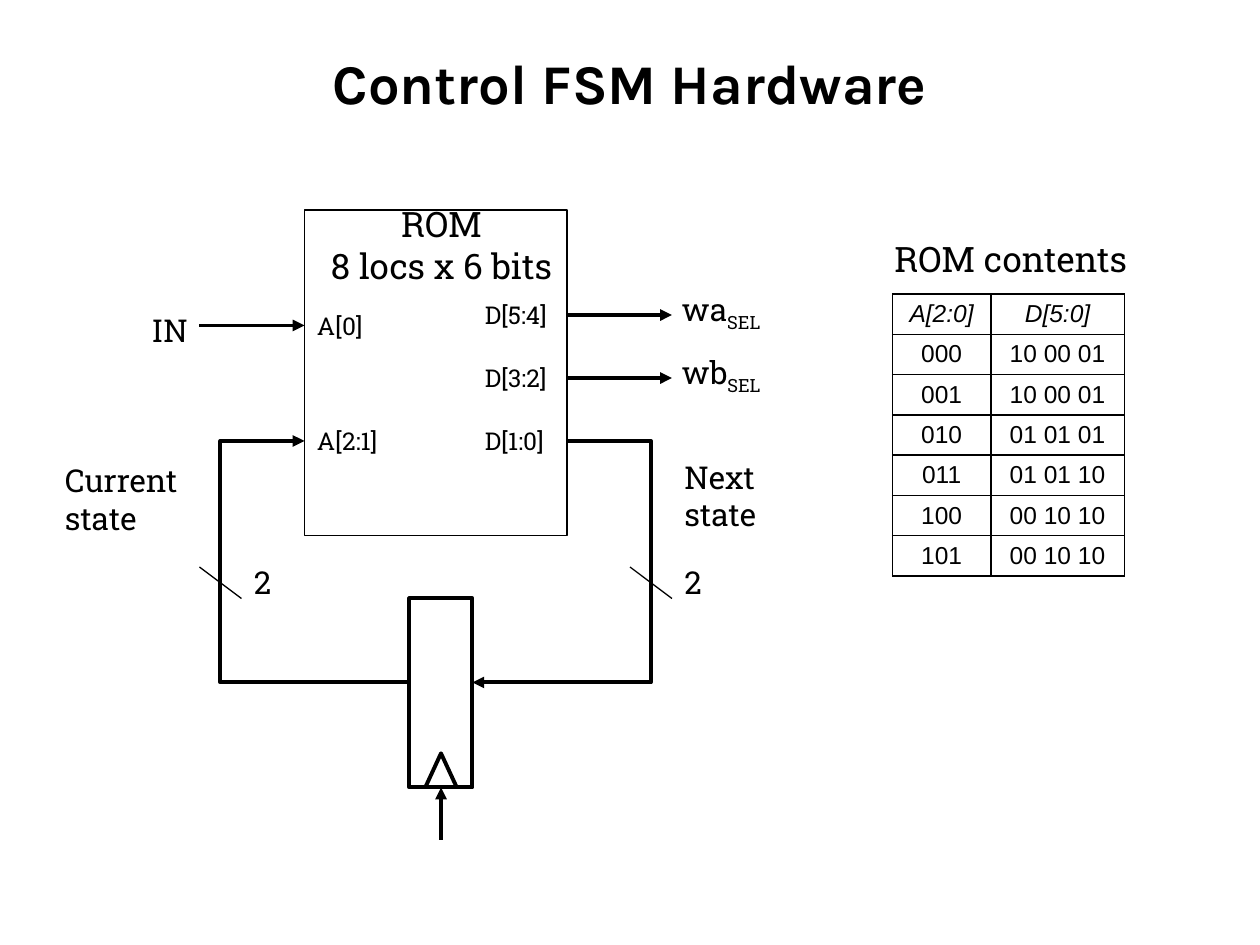
from lxml import etree
from pptx import Presentation
from pptx.dml.color import RGBColor
from pptx.enum.shapes import MSO_CONNECTOR, MSO_SHAPE
from pptx.enum.text import MSO_ANCHOR, MSO_AUTO_SIZE, PP_ALIGN
from pptx.oxml.ns import qn
from pptx.util import Emu, Inches, Pt

LEFT, MID, RIGHT = PP_ALIGN.LEFT, PP_ALIGN.CENTER, PP_ALIGN.RIGHT
RECT = MSO_SHAPE.RECTANGLE
STRAIGHT = MSO_CONNECTOR.STRAIGHT
BLACK, WHITE = "000000", "FFFFFF"
SLAB = "Roboto Slab"
THIN, THICK = 0.75, 2.25
BREAK = "\n"
CELLS = 12  # grid cells to the inch

ROM = [
    ("A[2:0]", "D[5:0]"),
    ("000", "10 00 01"),
    ("001", "10 00 01"),
    ("010", "01 01 01"),
    ("011", "01 01 10"),
    ("100", "00 10 10"),
    ("101", "00 10 10"),
]


def grid(count):
    return Inches(count / CELLS)


def color(code):
    return RGBColor.from_string(code)


def add_run(para, text, size, face, bold=False, italic=False, sub=False):
    run = para.add_run()
    run.text = text
    font = run.font
    font.size, font.name = Pt(size), face
    font.bold, font.italic = bold, italic
    font.color.rgb = color(BLACK)
    if sub:
        run._r.get_or_add_rPr().set("baseline", "-25000")


def add_label(shapes, col, row, width, paras, size=18, align=LEFT):
    """Place paragraphs, each a list of runs; every run after the first is
    a subscript unless it follows a line break."""
    lines = len(paras) + sum(runs.count(BREAK) for runs in paras)
    height = Inches(0.1 + lines * size * 1.2 / 72)
    box = shapes.add_textbox(grid(col), grid(row), Inches(width), height)
    frame = box.text_frame
    frame.word_wrap = False
    frame.auto_size = MSO_AUTO_SIZE.SHAPE_TO_FIT_TEXT
    for i, runs in enumerate(paras):
        para = frame.add_paragraph() if i else frame.paragraphs[0]
        para.alignment = align
        for j, text in enumerate(runs):
            if text == BREAK:
                para.add_line_break()
            else:
                sub = j > 0 and runs[j - 1] != BREAK
                add_run(para, text, size, SLAB, sub=sub)


def add_title(slide, deck, text):
    wide, high = deck.slide_width, deck.slide_height
    box = slide.shapes.add_textbox(
        int(wide * 0.05), int(high * 0.04), int(wide * 0.9), int(high * 0.093))
    frame = box.text_frame
    frame.word_wrap = True
    frame.vertical_anchor = MSO_ANCHOR.MIDDLE
    para = frame.paragraphs[0]
    para.alignment = MID
    add_run(para, text, 32, "Karla", bold=True)


def set_line(shape, weight, arrow=False):
    shape.line.color.rgb = color(BLACK)
    shape.line.width = Pt(weight)
    if arrow:
        ln = shape.line._get_or_add_ln()
        etree.SubElement(ln, qn("a:tailEnd"), type="triangle")


def add_box(shapes, col, row, cols, rows, weight):
    box = shapes.add_shape(RECT, grid(col), grid(row), grid(cols), grid(rows))
    box.shadow.inherit = False
    box.fill.background()
    set_line(box, weight)


def add_wire(shapes, start, end, weight=THICK, arrow=True):
    wire = shapes.add_connector(STRAIGHT, *map(grid, start + end))
    set_line(wire, weight, arrow)
    etree.SubElement(wire._element.spPr, qn("a:effectLst"))


def add_path(shapes, points, arrow=True):
    first, *rest = [(grid(x), grid(y)) for x, y in points]
    pen = shapes.build_freeform(*first, scale=1.0)
    pen.add_line_segments(rest, close=False)
    path = pen.convert_to_shape()
    path.shadow.inherit = False
    path.fill.background()
    set_line(path, THICK, arrow)


def add_edges(cell):
    props = cell._tc.get_or_add_tcPr()
    for side in ("lnL", "lnR", "lnT", "lnB"):
        edge = etree.SubElement(props, qn("a:" + side), w=str(Pt(1)))
        fill = etree.SubElement(edge, qn("a:solidFill"))
        etree.SubElement(fill, qn("a:srgbClr"), val=BLACK)


def add_grid(shapes, col, row, widths, height, data):
    """Add the ROM table, its head row in italics."""
    total = Inches(sum(widths))
    frame = shapes.add_table(len(data), len(widths), grid(col), grid(row),
                             total, Inches(height * len(data)))
    table = frame.table
    for column, width in zip(table.columns, widths):
        column.width = Inches(width)
    for i, values in enumerate(data):
        table.rows[i].height = Inches(height)
        for j, text in enumerate(values):
            cell = table.cell(i, j)
            add_edges(cell)
            cell.fill.solid()
            cell.fill.fore_color.rgb = color(WHITE)
            cell.margin_left = cell.margin_right = Emu(0)
            cell.margin_top = cell.margin_bottom = Inches(0.04)
            cell.vertical_anchor = MSO_ANCHOR.MIDDLE
            para = cell.text_frame.paragraphs[0]
            para.alignment = MID
            add_run(para, text, 14, "Arial", italic=i == 0)


def add_rom(shapes):
    add_box(shapes, 29, 20, 25, 31, THIN)
    add_label(shapes, 29.4, 18.7, 2.11, [["ROM"], ["8 locs x 6 bits"]], 20, MID)
    for row, width, text in ((29, 0.57, "A[0]"), (40, 0.76, "A[2:1]")):
        add_label(shapes, 29, row, width, [[text]], 14)
    for row, text in ((28, "D[5:4]"), (34, "D[3:2]"), (40, "D[1:0]")):
        add_label(shapes, 45, row, 0.78, [[text]], 14)


def add_ports(shapes):
    add_label(shapes, 13.2, 29, 0.49, [["IN"]], align=RIGHT)
    add_wire(shapes, (19, 31), (29, 31))
    for row, name in ((30, "wa"), (36, "wb")):
        add_wire(shapes, (54, row), (64, row))
        add_label(shapes, 63.75, row - 3, 0.9, [[name, "SEL"]])


def add_loop(shapes):
    """Wire the state register back to the ROM."""
    add_path(shapes, [(54, 42), (62, 42), (62, 65), (45, 65)])
    add_path(shapes, [(39, 65), (21, 65), (21, 42), (29, 42)])
    for col in (19, 60):
        add_wire(shapes, (col, 54), (col + 4, 57), THIN, arrow=False)
        add_label(shapes, col + 3.8, 53, 0.37, [["2"]], align=MID)
    add_label(shapes, 5, 43.3, 1.2, [["Current", BREAK, "state"]])
    add_label(shapes, 64, 43, 0.8, [["Next", BREAK, "state"]])


def add_store(shapes):
    """Add the state register with its clock input."""
    group = shapes.add_group_shape().shapes
    add_box(group, 39, 57, 6, 18, THICK)
    add_path(group, [(40.5, 75), (42, 71.75), (43.5, 75)], arrow=False)
    add_wire(shapes, (42, 80), (42, 75))


def main():
    deck = Presentation()
    deck.slide_width, deck.slide_height = Inches(10), Inches(7.5)
    slide = deck.slides.add_slide(deck.slide_layouts[6])
    shapes = slide.shapes
    add_title(slide, deck, "Control FSM Hardware")
    add_rom(shapes)
    add_ports(shapes)
    add_loop(shapes)
    add_store(shapes)
    add_label(shapes, 84, 22, 2.15, [["ROM contents"]], 20)
    add_grid(shapes, 85, 28, (0.78, 1.06), 0.32, ROM)
    deck.save("out.pptx")


if __name__ == "__main__":
    main()
